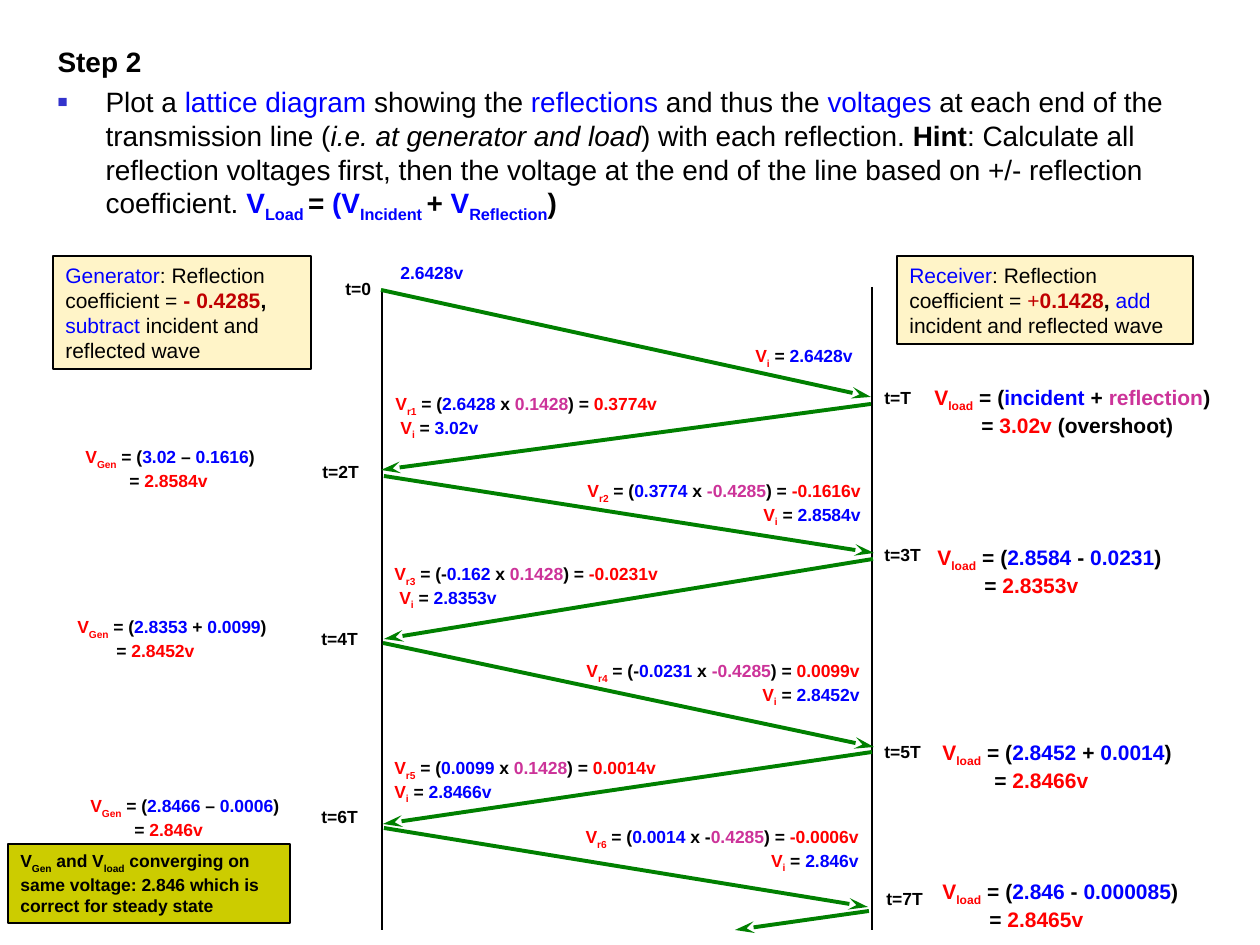
import pptx
import pptx.util
import pptx.dml.color
import pptx.enum.text
import pptx.enum.shapes
import pptx.oxml.ns
import lxml.etree

RGB = pptx.dml.color.RGBColor
BLACK = RGB(0, 0, 0)
BLUE = RGB(0, 0, 0xFF)
RED = RGB(0xFF, 0, 0)
PINK = RGB(0xCC, 0x33, 0x99)
DARK = RGB(0xC0, 0, 0)
GREEN = RGB(0, 0x80, 0)
CREAM = RGB(0xFF, 0xF4, 0xC8)
OLIVE = RGB(0xCC, 0xCC, 0)
PX = 914400 // 126
qn = pptx.oxml.ns.qn
add = lxml.etree.SubElement

deck = pptx.Presentation()
deck.slide_width, deck.slide_height = 1260 * PX, 945 * PX
slide = deck.slides.add_slide(deck.slide_layouts[1])
title, body = slide.placeholders
title.element.getparent().remove(title.element)
shapes = slide.shapes


def write(para, size, runs):
    """Add runs of (text, colour, marks): b bold, i italic, s subscript."""
    for text, color, marks in runs:
        run = para.add_run()
        run.text = text
        font = run.font
        font.name, font.size = "Arial", pptx.util.Pt(size)
        font.bold, font.italic = "b" in marks, "i" in marks
        font.color.rgb = color
        if "s" in marks:
            run._r.get_or_add_rPr().set("baseline", "-25000")


def label(place, size, lines, fill=None, shift=0, right=False):
    """Add a text box; lines after the first are indented by shift."""
    place = [n * PX for n in place]
    if fill is None:
        box = shapes.add_textbox(*place)
    else:
        box = shapes.add_shape(pptx.enum.shapes.MSO_SHAPE.RECTANGLE, *place)
        box.shadow.inherit = False
        box.fill.solid()
        box.fill.fore_color.rgb = fill
        box.line.color.rgb = BLACK
        box.line.width = pptx.util.Pt(0.74)
    frame = box.text_frame
    frame.word_wrap = True
    frame.vertical_anchor = pptx.enum.text.MSO_ANCHOR.TOP
    align = pptx.enum.text.PP_ALIGN
    for i, runs in enumerate(lines):
        para = frame.add_paragraph() if i else frame.paragraphs[0]
        para.alignment = align.RIGHT if right else align.LEFT
        if i and shift:
            para._p.get_or_add_pPr().set("marL", str(shift * PX))
        write(para, size, runs)


# Task text
body.left, body.top, body.width, body.height = [n * PX for n in (45, 38, 1188, 195)]
frame = body.text_frame
frame.auto_size = pptx.enum.text.MSO_AUTO_SIZE.NONE
frame.vertical_anchor = pptx.enum.text.MSO_ANCHOR.TOP
step, task = frame.paragraphs[0], frame.add_paragraph()
for para in (step, task):
    para.space_before = pptx.util.Pt(4)
    props = para._p.get_or_add_pPr()
    props.set("marL", str(48 * PX))
    props.set("indent", str(-48 * PX))
add(step._p.pPr, qn("a:buNone"))
add(add(task._p.pPr, qn("a:buClr")), qn("a:srgbClr"), val="3333CC")
add(task._p.pPr, qn("a:buSzPct"), val="60000")
add(task._p.pPr, qn("a:buFont"), typeface="Arial")
add(task._p.pPr, qn("a:buChar"), char="■")
write(step, 16, [("Step 2", BLACK, "b")])
write(task, 16, [
    ("Plot a ", BLACK, ""), ("lattice diagram ", BLUE, ""),
    ("showing the ", BLACK, ""), ("reflections", BLUE, ""),
    (" and thus the ", BLACK, ""), ("voltages", BLUE, ""),
    (" at each end of the transmission line (", BLACK, ""),
    ("i.e. at generator and load", BLACK, "i"),
    (") with each reflection. ", BLACK, ""), ("Hint", BLACK, "b"),
    (": Calculate all reflection voltages first, then the voltage at the end "
     "of the line based on +/- reflection coefficient. ", BLACK, ""),
    ("V", BLUE, "b"), ("Load ", BLUE, "bs"), ("=", BLACK, "b"),
    (" (V", BLUE, "b"), ("Incident ", BLUE, "bs"), ("+", BLACK, "b"),
    (" V", BLUE, "b"), ("Reflection", BLUE, "bs"), (")", BLACK, "b")])

# Line ends, then the bouncing wave
rails = [(382, 289, 382, 930), (872, 287, 872, 930)]
waves = [(381, 290, 871, 397), (871, 404, 381, 470), (384, 476, 874, 553),
         (873, 559, 384, 639), (383, 643, 874, 747), (872, 752, 383, 824),
         (384, 828, 868, 907), (869, 911, 735, 930)]
for ends in rails + waves:
    line = shapes.add_connector(pptx.enum.shapes.MSO_CONNECTOR.STRAIGHT,
                                *[n * PX for n in ends])
    wave = ends in waves
    line.line.color.rgb = GREEN if wave else BLACK
    line.line.width = pptx.util.Pt(2.24 if wave else 1.5)
    if wave:
        add(line.line._get_or_add_ln(), qn("a:tailEnd"),
            type="stealth", w="med", len="lg")
    add(line._element.spPr, qn("a:effectLst"))

# Notes on each end
label((53, 256, 258, 113), 12, [[
    ("Generator", BLUE, ""), (": Reflection coefficient = ", BLACK, ""),
    ("- 0.4285", DARK, "b"), (", ", BLACK, "b"), ("subtract", BLUE, ""),
    (" incident and reflected wave", BLACK, "")]], CREAM)
label((897, 256, 296, 88), 12, [[
    ("Receiver", BLUE, ""), (": Reflection coefficient = ", BLACK, ""),
    ("+", DARK, ""), ("0.1428", DARK, "b"), (", ", BLACK, "b"),
    ("add", BLUE, ""), (" incident and reflected wave", BLACK, "")]], CREAM)
label((8, 844, 282, 79), 10, [[
    ("V", BLACK, "b"), ("Gen", BLACK, "bs"), (" and V", BLACK, "b"),
    ("load", BLACK, "bs"),
    (" converging on same voltage: 2.846 which is correct for steady state",
     BLACK, "b")]], OLIVE)

# Times
for x, y, time in [(333, 272, "0"), (872, 381, "T"), (310, 455, "2T"),
                   (872, 538, "3T"), (309, 622, "4T"), (872, 735, "5T"),
                   (309, 800, "6T"), (874, 882, "7T")]:
    label((x, y, 69, 34), 10, [[("t=" + time, BLACK, "b")]])

# First incident wave
label((388, 256, 213, 34), 10, [[("2.6428v", BLUE, "b")]])
label((743, 339, 150, 37), 10, [[
    ("V", RED, "b"), ("i", RED, "bs"), (" = ", BLACK, "b"), ("2.6428v", BLUE, "b")]])

# Reflections: odd ones start at the load, even ones at the generator
bounces = [(383, 387, 319, " = (", "2.6428", " x ", "0.1428", "0.3774v", "3.02v", 5),
           (542, 474, 331, " = (", "0.3774", " x ", "-0.4285", "-0.1616v", "2.8584v", 0),
           (382, 557, 320, " = (-", "0.162", " x ", "0.1428", "-0.0231v", "2.8353v", 5),
           (543, 654, 329, " = (-", "0.0231", " x ", "-0.4285", "0.0099v", "2.8452v", 0),
           (382, 751, 325, " = (", "0.0099", " x ", "0.1428", "0.0014v", "2.8466v", 0),
           (542, 820, 329, " = (", "0.0014", " x -", "0.4285", "-0.0006v", "2.846v", 0)]
for n, (x, y, w, start, volt, times, rate, back, total, shift) in enumerate(bounces, 1):
    label((x, y, w, 60), 10, [
        [("V", RED, "b"), (f"r{n}", RED, "bs"), (start, BLACK, "b"),
         (volt, BLUE, "b"), (times, BLACK, "b"), (rate, PINK, "b"),
         (") = ", BLACK, "b"), (back, RED, "b")],
        [("V", RED, "b"), ("i", RED, "bs"), (" = ", BLACK, "b"),
         (total, BLUE, "b")]], shift=shift, right=n % 2 == 0)

# Voltages at the load and at the generator
sums = [("load", 922, 378, 324, "incident", " + ", "reflection", "3.02v", 47),
        ("load", 925, 538, 311, "2.8584", " - ", "0.0231", "2.8353v", 47),
        ("load", 930, 733, 330, "2.8452", " + ", "0.0014", "2.8466v", 52),
        ("load", 930, 872, 307, "2.846", " - ", "0.000085", "2.8465v", 47),
        ("Gen", 73, 440, 244, "3.02", " – ", "0.1616", "2.8584v", 44),
        ("Gen", 65, 610, 263, "2.8353", " + ", "0.0099", "2.8452v", 39),
        ("Gen", 78, 789, 248, "2.8466", " – ", "0.0006", "2.846v", 44)]
for end, x, y, w, wave, sign, back, total, shift in sums:
    first = wave == "incident"
    result = [("= ", BLACK, "b"), (total, RED, "b")]
    if first:
        result.append((" (overshoot)", BLACK, "b"))
    label((x, y, w, 67 if end == "load" else 58), 12 if end == "load" else 10, [
        [("V", RED, "b"), (end, RED, "bs"), (" = (", BLACK, "b"),
         (wave, BLUE, "b"), (sign, BLACK, "b"),
         (back, PINK if first else BLUE, "b"), (")", BLACK, "b")],
        result], shift=shift)

deck.save("out.pptx")
